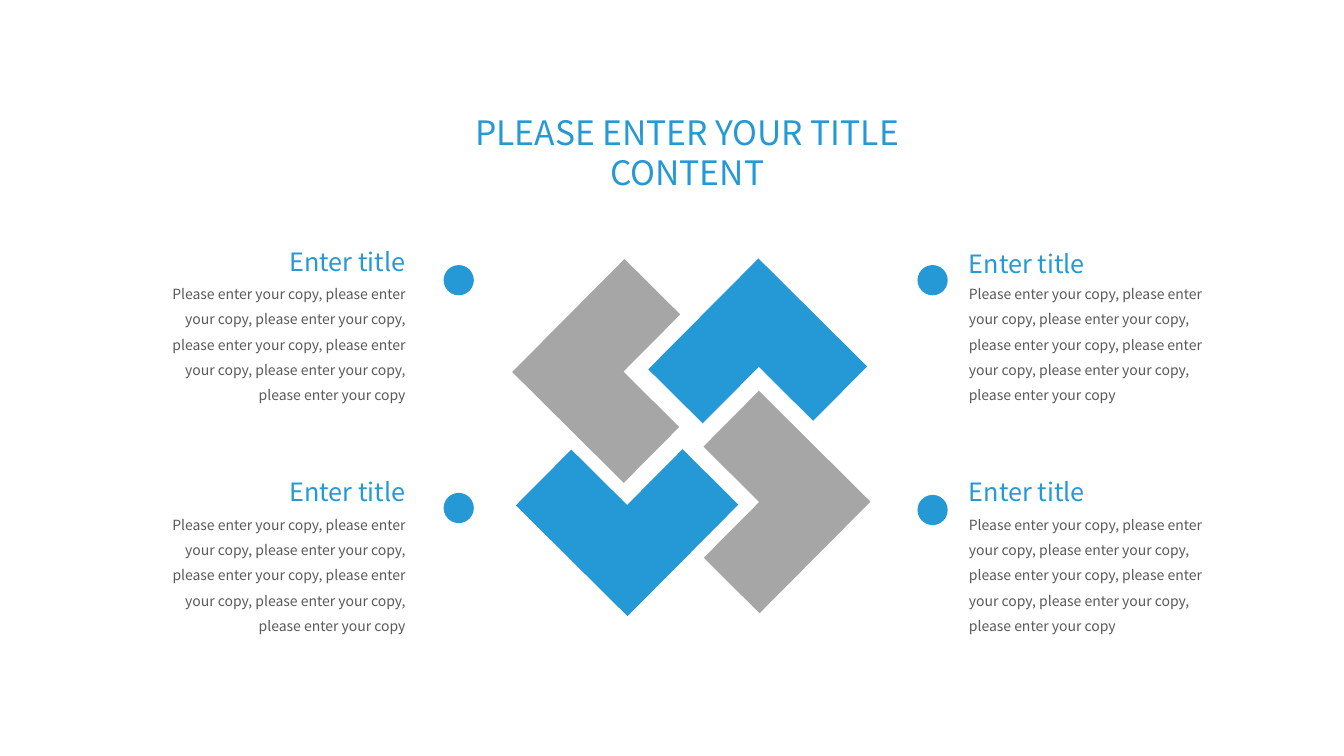
from dataclasses import dataclass
from pptx import Presentation
from pptx.dml.color import RGBColor
from pptx.enum.shapes import MSO_SHAPE as Shape
from pptx.enum.text import MSO_AUTO_SIZE as AutoSize, PP_ALIGN as Align
from pptx.util import Inches, Pt


@dataclass(frozen=True)
class Theme:
    blue: RGBColor = RGBColor(0x24, 0x99, 0xD6)
    grey: RGBColor = RGBColor(0xA6, 0xA6, 0xA6)
    body: RGBColor = RGBColor(0x59, 0x59, 0x59)
    font: str = "Noto Sans CJK SC"
    title_size: int = 24
    heading_size: int = 18
    body_size: int = 10


THEME = Theme()
HEADING = "Enter title"
COPY = "Please enter your copy" + ", please enter your copy" * 6
INSETS = ("margin_left", "margin_top", "margin_right", "margin_bottom")


def apply_format(target, values):
    for attribute, value in values.items():
        setattr(target, attribute, value)


def add_words(slide, box, words, size, color, paragraph_format, frame_format):
    frame = slide.shapes.add_textbox(*map(Inches, box)).text_frame
    apply_format(frame, {"word_wrap": True,
                         "auto_size": AutoSize.SHAPE_TO_FIT_TEXT, **frame_format})
    paragraph = frame.paragraphs[0]
    apply_format(paragraph, paragraph_format)
    run = paragraph.add_run()
    run.text = words
    apply_format(run.font, {"name": THEME.font, "size": Pt(size)})
    run.font.color.rgb = color


def add_solid(slide, kind, box, color, rotation=0):
    solid = slide.shapes.add_shape(kind, *map(Inches, box))
    solid.rotation = rotation
    solid.shadow.inherit = False
    solid.fill.solid()
    solid.fill.fore_color.rgb = color
    solid.line.fill.background()


def add_title(slide, box):
    add_words(slide, box, "PLEASE ENTER YOUR TITLE CONTENT", THEME.title_size,
              THEME.blue, {"alignment": Align.CENTER}, {})


def add_emblem(slide, left, top):
    pieces = [(0, 0, 1.56, 1.58), (1.33, 0, 1.55, 1.52),
              (1.34, 1.31, 1.56, 1.56), (0.03, 1.34, 1.56, 1.56)]
    for turn, (x, y, width, height) in enumerate(pieces):
        color = THEME.blue if turn % 2 else THEME.grey
        add_solid(slide, Shape.CORNER, (left + x, top + y, width, height),
                  color, 44.8 + 90 * turn)


def add_note(slide, box, align, heading_rise, dot_left, dot_drop):
    left, top, width, height = box
    heading_width = 2.19
    heading_left = left + width - heading_width if align == Align.RIGHT else left
    paragraph_format = {"alignment": align, "line_spacing": 1.5}
    frame_format = dict.fromkeys(INSETS, 0)
    add_words(slide, (heading_left, top - heading_rise, heading_width, 0.45),
              HEADING, THEME.heading_size, THEME.blue, paragraph_format, frame_format)
    add_words(slide, box, COPY, THEME.body_size, THEME.body,
              paragraph_format, frame_format)
    add_solid(slide, Shape.OVAL, (dot_left, top + dot_drop, 0.3, 0.3), THEME.blue)


def add_emblem_slide(deck):
    slide = deck.slides.add_slide(deck.slide_layouts[6])
    add_title(slide, (4.34, 1.06, 4.95, 0.91))
    add_emblem(slide, 5.41, 2.89)
    notes = [
        ((1.39, 2.75, 2.63, 1.26), Align.RIGHT, 0.46, 4.4, -0.12),
        ((1.5, 5.04, 2.52, 1.26), Align.RIGHT, 0.46, 4.4, -0.15),
        ((9.61, 2.75, 2.63, 1.26), Align.LEFT, 0.44, 9.1, -0.12),
        ((9.61, 5.04, 2.52, 1.26), Align.LEFT, 0.46, 9.1, -0.13),
    ]
    for note in notes:
        add_note(slide, *note)


def main():
    deck = Presentation()
    apply_format(deck, {"slide_width": Inches(13.33), "slide_height": Inches(7.5)})
    add_emblem_slide(deck)
    deck.save("out.pptx")


if __name__ == "__main__":
    main()
